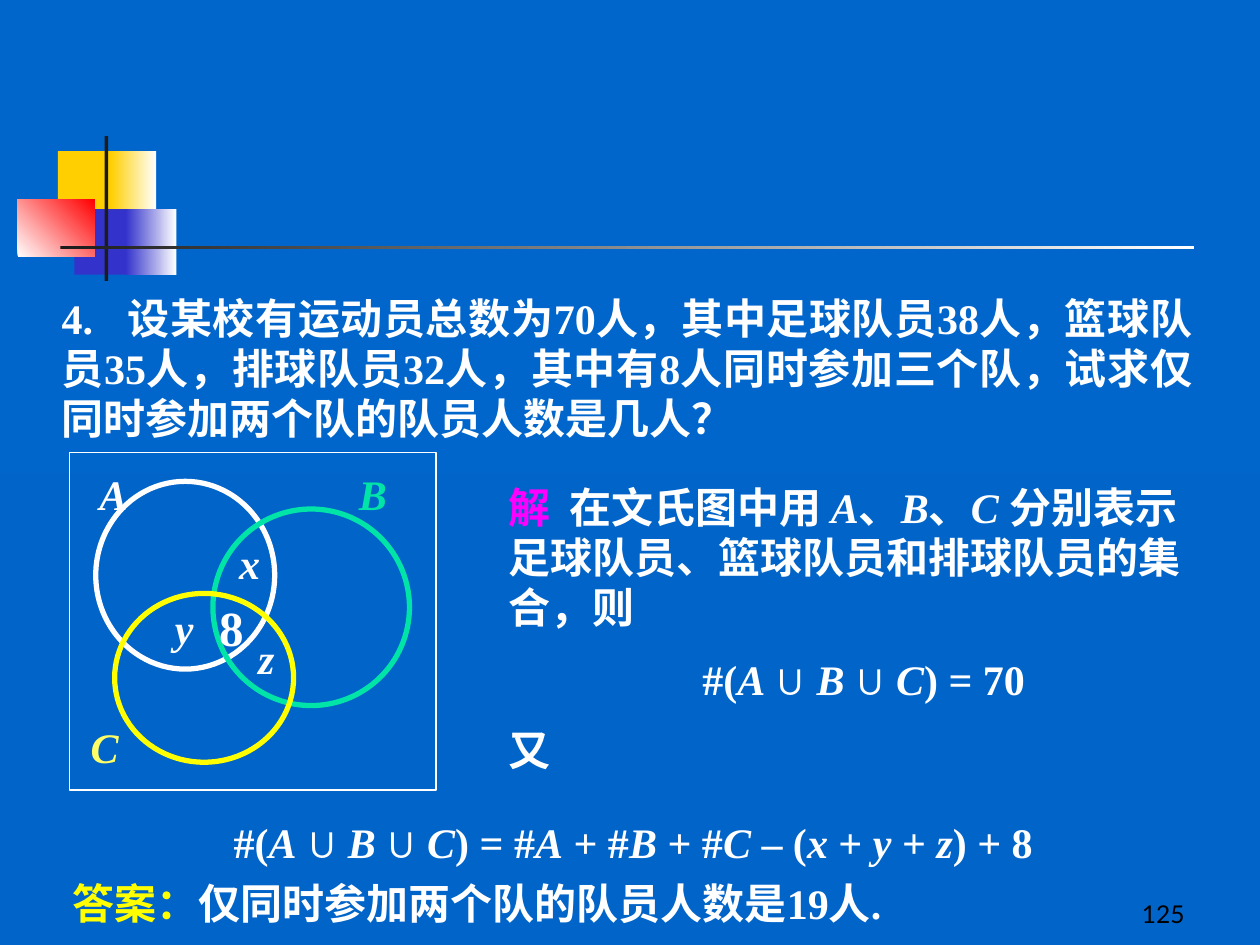
from itertools import groupby

from lxml import etree
from pptx import Presentation
from pptx.dml.color import RGBColor
from pptx.enum.shapes import MSO_SHAPE as SHAPE
from pptx.enum.text import MSO_ANCHOR as ANCHOR, MSO_AUTO_SIZE as AUTO_SIZE, PP_ALIGN as ALIGN
from pptx.oxml.ns import qn
from pptx.util import Pt

PX = 9144  # 100 px to the inch
WHITE, YELLOW, GREEN, DARK = "FFFFFF", "FFFF00", "00E4A8", "1C1C1C"


def set_fill(fill, colours, angle=0):
    """One colour gives a solid fill, two a gradient; angle is counter-clockwise."""
    if len(colours) == 1:
        fill.solid()
        fill.fore_color.rgb = RGBColor.from_string(colours[0])
        return
    fill.gradient()
    fill.gradient_angle = angle
    for stop, colour in zip(fill.gradient_stops, colours):
        stop.color.rgb = RGBColor.from_string(colour)


def add_text(shapes, bounds, paragraphs, size=24, font="Times New Roman", bold=True):
    """Each paragraph is (alignment, space before, space after, tab stop, [(text, colour)]).

    Set and variable names become italic, and the union sign takes Arial.
    """
    box = shapes.add_textbox(*[value * PX for value in bounds])
    frame = box.text_frame
    frame.word_wrap = True
    frame.auto_size = AUTO_SIZE.SHAPE_TO_FIT_TEXT
    for index, (alignment, before, after, tab, pieces) in enumerate(paragraphs):
        paragraph = frame.add_paragraph() if index else frame.paragraphs[0]
        paragraph.alignment = alignment
        paragraph.space_before, paragraph.space_after = Pt(before), Pt(after)
        if tab:
            tabs = etree.SubElement(paragraph._p.get_or_add_pPr(), qn("a:tabLst"))
            etree.SubElement(tabs, qn("a:tab"), pos=str(tab * PX), algn="l")
        for text, colour in pieces:
            for (italic, union), letters in groupby(text, lambda c: (c in "ABCxyz", c == "∪")):
                run = paragraph.add_run()
                run.text = "".join(letters)
                run.font.size, run.font.bold, run.font.italic = Pt(size), bold, italic
                run.font.name = "Arial" if union else font
                run.font.color.rgb = RGBColor.from_string(colour)
    return box


presentation = Presentation()
presentation.slide_width, presentation.slide_height = 1000 * PX, 750 * PX
slide = presentation.slides.add_slide(presentation.slide_layouts[6])
set_fill(slide.background.fill, ["0066CC", "0064C9"], 270)

# Corner ornament and rule
for bounds, colours, angle in [
    ((46, 120, 48, 52), ["FFCF01"], 0),
    ((88, 120, 36, 52), ["FFCF01", WHITE], 0),
    ((59, 166, 46, 52), ["3333CC"], 0),
    ((100, 166, 40, 52), ["3333CC", WHITE], 0),
    ((14, 158, 61, 46), [WHITE, "FF0000"], 45),
    ((83, 108, 3, 115), [DARK], 0),
    ((48, 195, 900, 3), [DARK, WHITE], 0),
]:
    block = slide.shapes.add_shape(SHAPE.RECTANGLE, *[value * PX for value in bounds])
    block.shadow.inherit = False
    block.line.fill.background()
    set_fill(block.fill, colours, angle)

page_number = add_text(slide.shapes, (742, 692, 208, 50),
                       [(ALIGN.RIGHT, 0, 0, 0, [("125", "000000")])], 14, "Lato", False)
page_number.text_frame.auto_size = AUTO_SIZE.NONE
page_number.text_frame.vertical_anchor = ANCHOR.BOTTOM

question = ("4.\t设某校有运动员总数为70人，其中足球队员38人，篮球队员35人，排球队员32人，"
            "其中有8人同时参加三个队，试求仅同时参加两个队的队员人数是几人？")
add_text(slide.shapes, (39, 227, 917, 130), [(ALIGN.JUSTIFY, 0, 0, 52, [(question, WHITE)])])

# Venn diagram
venn = slide.shapes.add_group_shape().shapes
for kind, bounds, colour, width in [
    (SHAPE.RECTANGLE, (55, 359, 291, 268), WHITE, 0.75),
    (SHAPE.OVAL, (76, 382, 142, 149), WHITE, 3),
    (SHAPE.OVAL, (169, 404, 156, 156), GREEN, 3),
    (SHAPE.OVAL, (91, 471, 142, 134), YELLOW, 3),
]:
    outline = venn.add_shape(kind, *[value * PX for value in bounds])
    outline.shadow.inherit = False
    outline.fill.background()
    outline.line.color.rgb = RGBColor.from_string(colour)
    outline.line.width = Pt(width)

for label, bounds, colour, size in [
    ("A", (69, 367, 71, 50), WHITE, 24),
    ("C", (62, 568, 71, 50), "FFFF66", 24),
    ("B", (275, 367, 71, 50), GREEN, 24),
    ("x", (180, 422, 43, 50), WHITE, 24),
    ("y", (129, 473, 43, 50), WHITE, 24),
    ("z", (195, 497, 42, 50), WHITE, 24),
    ("8", (164, 469, 43, 57), WHITE, 28),
]:
    add_text(venn, bounds, [(ALIGN.LEFT, 0, 0, 0, [(label, colour)])], size)

# Solution and answer
add_text(slide.shapes, (394, 377, 583, 244), [
    (ALIGN.LEFT, 0, 6, 48, [
        ("解\t", "FF00FF"),
        ("在文氏图中用 A、B、C 分别表示足球队员、篮球队员和排球队员的集合，则", WHITE)]),
    (ALIGN.CENTER, 6, 6, 0, [("#(A ∪ B ∪ C) = 70", WHITE)]),
    (ALIGN.LEFT, 6, 6, 0, [("又", WHITE)]),
])
add_text(slide.shapes, (48, 643, 909, 99), [
    (ALIGN.CENTER, 0, 0, 0, [("#(A ∪ B ∪ C) = #A + #B + #C – (x + y + z) + 8", WHITE)]),
    (ALIGN.LEFT, 6, 0, 0, [("答案：", YELLOW), ("仅同时参加两个队的队员人数是19人.", WHITE)]),
])

presentation.save("out.pptx")
